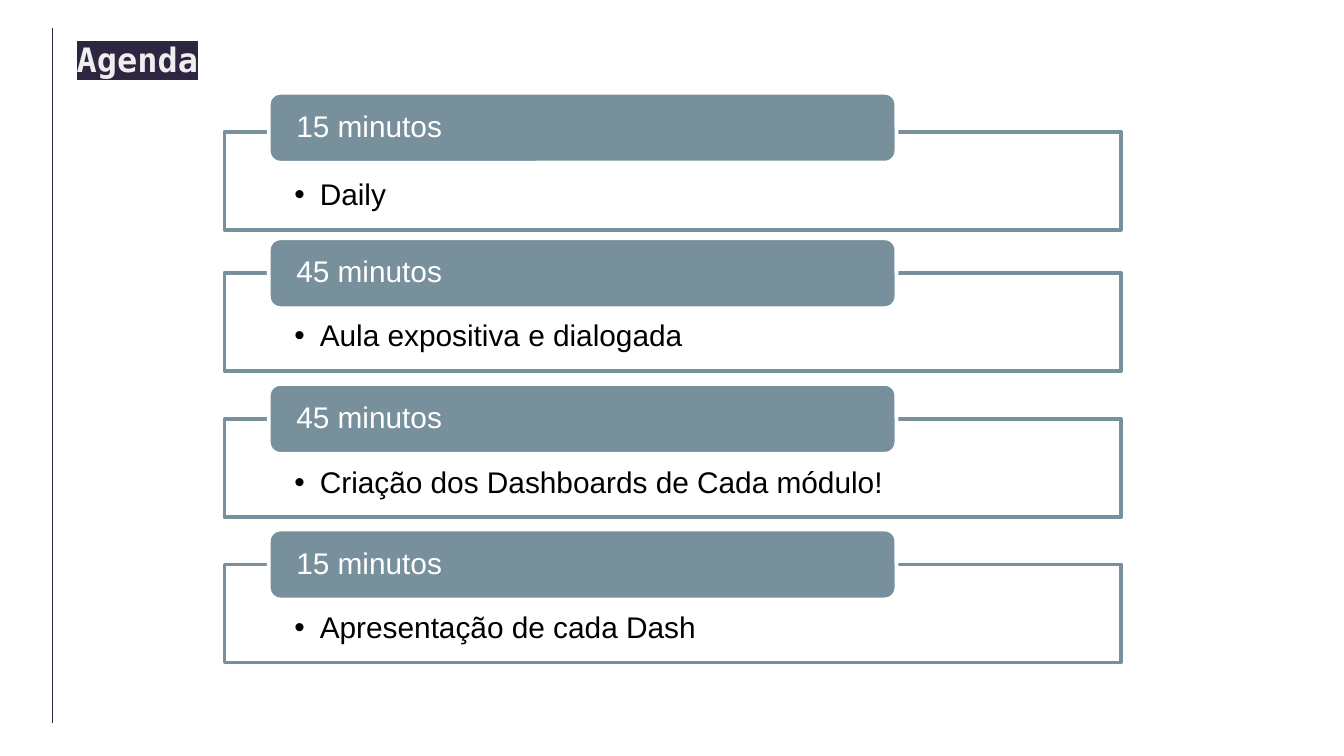
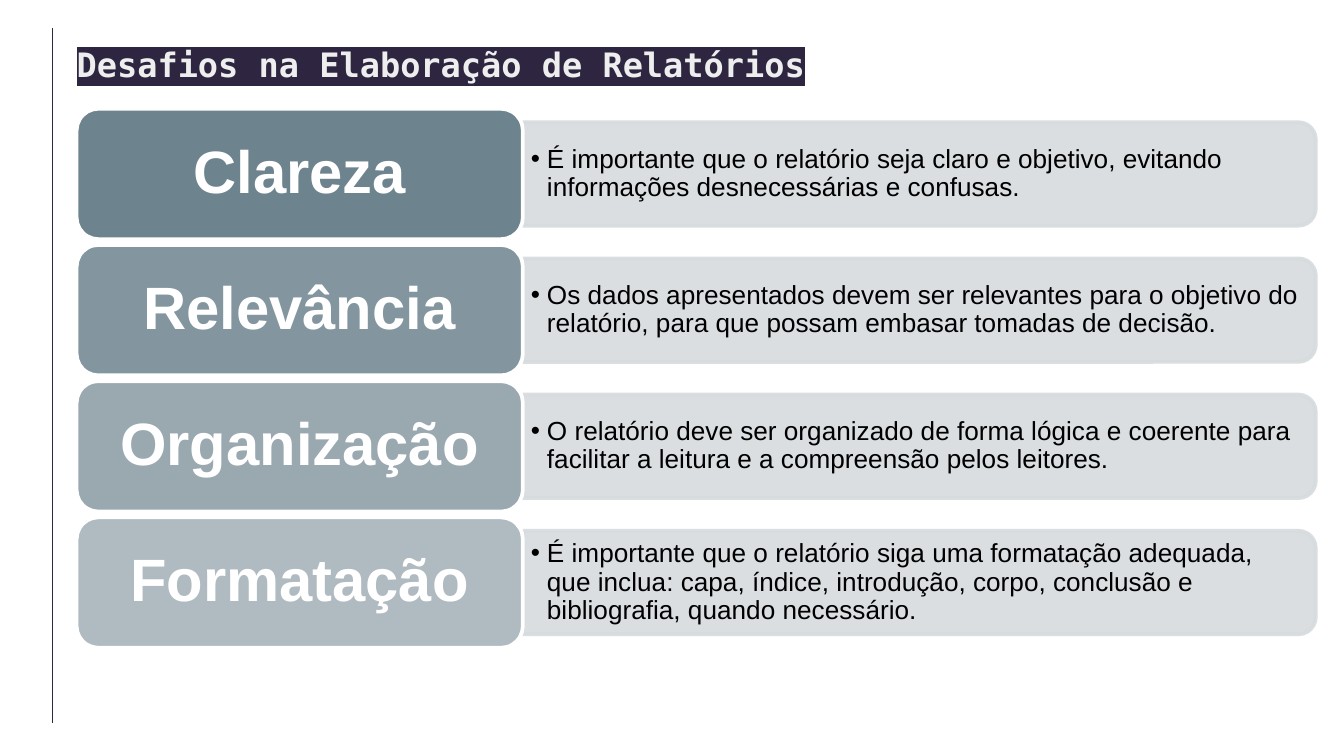
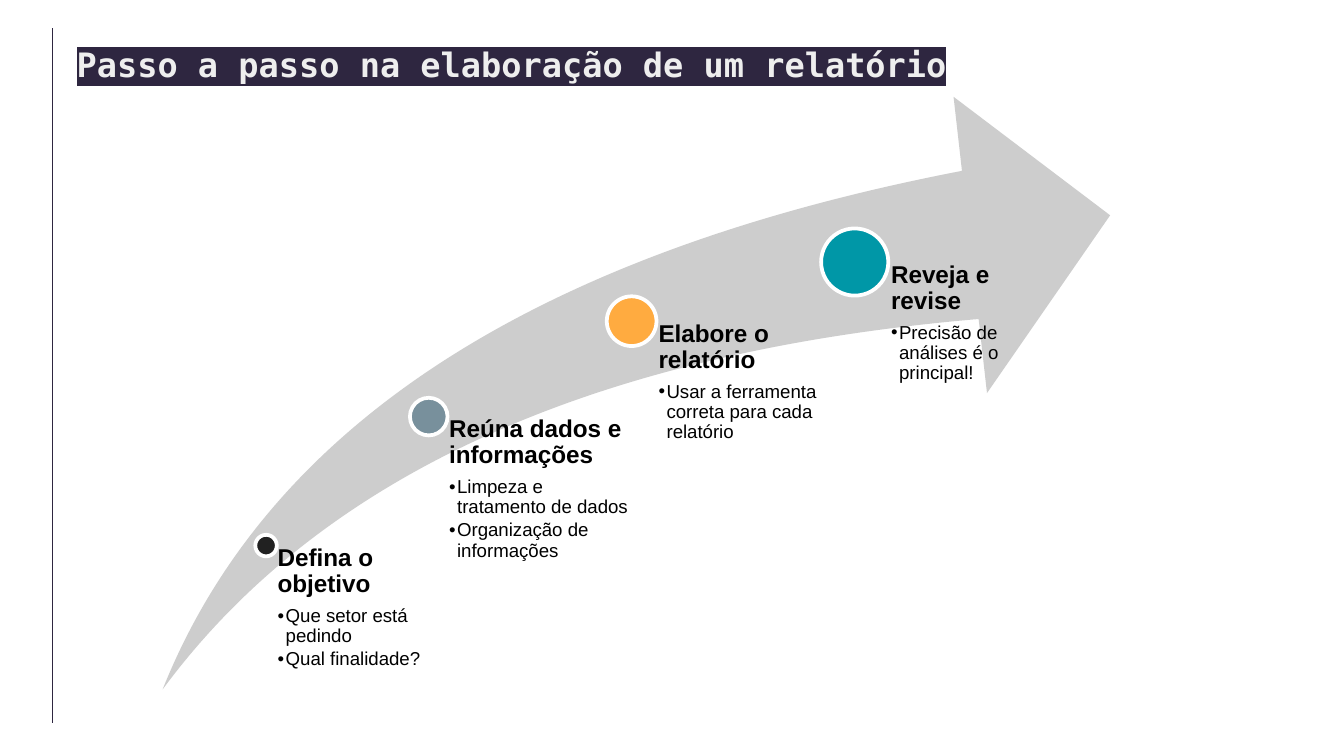
from dataclasses import dataclass

from lxml.etree import SubElement
from pptx import Presentation
from pptx.dml.color import RGBColor
from pptx.enum.shapes import MSO_CONNECTOR, MSO_SHAPE
from pptx.enum.text import MSO_ANCHOR, MSO_AUTO_SIZE, PP_ALIGN
from pptx.oxml.ns import qn
from pptx.util import Inches, Pt

BODY_FONT = "Arial"
TITLE_FONT = "DejaVu Sans Mono"
DARK = "2E2640"
TITLE_TEXT = "EEEEEE"
SLATE = "78909C"
BAND = "D6DBDE"
ARROW = "CDCDCD"
WHITE = "FFFFFF"
BLACK = "000000"


@dataclass
class AgendaItem:
    duration: str
    activity: str
    box_top: float


@dataclass
class Challenge:
    name: str
    description: str
    color: str


@dataclass
class Step:
    heading: str
    bullets: list[str]
    color: str
    x: float
    y: float
    diameter: float
    text_width: float = 1.48


AGENDA = [
    AgendaItem("15 minutos", "Daily", 0.98),
    AgendaItem("45 minutos", "Aula expositiva e dialogada", 2.03),
    AgendaItem("45 minutos", "Criação dos Dashboards de Cada módulo!", 3.12),
    AgendaItem("15 minutos", "Apresentação de cada Dash", 4.2),
]

CHALLENGES = [
    Challenge("Clareza", "É importante que o relatório seja claro e objetivo, "
              "evitando informações desnecessárias e confusas.", "6D838E"),
    Challenge("Relevância", "Os dados apresentados devem ser relevantes para o objetivo "
              "do relatório, para que possam embasar tomadas de decisão.", "83969F"),
    Challenge("Organização", "O relatório deve ser organizado de forma lógica e coerente "
              "para facilitar a leitura e a compreensão pelos leitores.", "9AA8B0"),
    Challenge("Formatação", "É importante que o relatório siga uma formatação adequada, "
              "que inclua: capa, índice, introdução, corpo, conclusão e bibliografia, "
              "quando necessário.", "B0BBC1"),
]

STEPS = [
    Step("Defina o objetivo", ["Que setor está pedindo", "Qual finalidade?"],
         "212121", 1.98, 4.06, 0.16, 1.21),
    Step("Reúna dados e informações",
         ["Limpeza e tratamento de dados", "Organização de informações"],
         SLATE, 3.19, 3.1, 0.28),
    Step("Elabore o relatório", ["Usar a ferramenta correta para cada relatório"],
         "FFAB40", 4.7, 2.39, 0.37),
    Step("Reveja e revise", ["Precisão de análises é o principal!"],
         "0097A7", 6.36, 1.95, 0.5),
]


def rgb(color: str) -> RGBColor:
    return RGBColor.from_string(color)


def set_alpha(parent, percent: int) -> None:
    for clr in parent.iter(qn("a:srgbClr")):
        SubElement(clr, qn("a:alpha"), val=str(percent * 1000))


def row_top(first: float, last: float, index: int, count: int) -> float:
    return first + (last - first) * index / (count - 1)


def add_shape(s, kind, left: float, top: float, width: float, height: float,
              fill: str, line: str | None = WHITE):
    sp = s.shapes.add_shape(kind, Inches(left), Inches(top), Inches(width), Inches(height))
    sp.shadow.inherit = False
    sp.fill.solid()
    sp.fill.fore_color.rgb = rgb(fill)
    if line:
        sp.line.color.rgb = rgb(line)
        sp.line.width = Pt(2)
    else:
        sp.line.fill.background()
    return sp


def add_textbox(s, left: float, top: float, width: float, height: float):
    return s.shapes.add_textbox(Inches(left), Inches(top), Inches(width), Inches(height))


def set_frame(sp, left: float, top: float, right: float, bottom: float,
              anchor: MSO_ANCHOR = MSO_ANCHOR.TOP):
    tf = sp.text_frame
    tf.word_wrap = True
    tf.vertical_anchor = anchor
    tf.margin_left, tf.margin_top = Inches(left), Inches(top)
    tf.margin_right, tf.margin_bottom = Inches(right), Inches(bottom)
    return tf


def add_run(p, text: str, size: float, color: str, bold: bool = False,
            font: str = BODY_FONT):
    r = p.add_run()
    r.text = text
    r.font.size = Pt(size)
    r.font.bold = bold
    r.font.color.rgb = rgb(color)
    r.font.name = font
    return r


def write(p, text: str, size: float, color: str, bold: bool = False,
          align: PP_ALIGN = PP_ALIGN.LEFT, bullet_indent: float = 0) -> None:
    p.alignment = align
    p.line_spacing = 0.9
    pPr = p._p.get_or_add_pPr()
    after = SubElement(pPr, qn("a:spcAft"))
    SubElement(after, qn("a:spcPct"), val="15000" if bullet_indent else "35000")
    if bullet_indent:
        p.level = 1
        pPr.set("marL", str(Inches(bullet_indent)))
        pPr.set("indent", str(-Inches(bullet_indent)))
        SubElement(SubElement(pPr, qn("a:buClr")), qn("a:srgbClr"), val=BLACK)
        SubElement(pPr, qn("a:buFont"), typeface=BODY_FONT)
        SubElement(pPr, qn("a:buChar"), char="•")
    add_run(p, text, size, color, bold)


def add_titled_slide(prs, title: str, top: float = 0.28):
    s = prs.slides.add_slide(prs.slide_layouts[6])
    tf = set_frame(add_textbox(s, 0.57, top, 6.62, 0.4), 0, 0.05, 0.05, 0.05)
    tf.auto_size = MSO_AUTO_SIZE.SHAPE_TO_FIT_TEXT
    r = add_run(tf.paragraphs[0], title, 18, TITLE_TEXT, True, TITLE_FONT)
    rPr = r._r.get_or_add_rPr()
    highlight = SubElement(rPr, qn("a:highlight"))
    SubElement(highlight, qn("a:srgbClr"), val=DARK)
    rPr.find(qn("a:solidFill")).addnext(highlight)

    rule = s.shapes.add_connector(MSO_CONNECTOR.STRAIGHT, Inches(0.39), Inches(0.21),
                                  Inches(0.39), Inches(5.38))
    rule.line.color.rgb = rgb(DARK)
    rule.line.width = Pt(0.75)
    SubElement(rule._element.spPr, qn("a:effectLst"))
    return s


def build_agenda(prs) -> None:
    s = add_titled_slide(prs, "Agenda", 0.24)
    for i, item in enumerate(AGENDA):
        box = add_shape(s, MSO_SHAPE.RECTANGLE, 1.67, item.box_top, 6.67, 0.73, WHITE, SLATE)
        set_alpha(box._element.spPr.find(qn("a:solidFill")), 90)
        tf = set_frame(box, 0.52, 0.36, 0.52, 0.12)
        write(tf.paragraphs[0], item.activity, 16, BLACK, bullet_indent=0.19)

        header = add_shape(s, MSO_SHAPE.ROUNDED_RECTANGLE, 2,
                           row_top(0.69, 3.94, i, len(AGENDA)), 4.67, 0.52, SLATE)
        tf = set_frame(header, 0.18, 0, 0.18, 0, MSO_ANCHOR.MIDDLE)
        write(tf.paragraphs[0], item.duration, 16, WHITE)


def build_challenges(prs) -> None:
    s = add_titled_slide(prs, "Desafios na Elaboração de Relatórios")
    label_left, label_width, label_height = 0.57, 3.32, 0.97
    band_left, band_length, band_height = label_left + label_width, 5.9, 0.77
    for i, item in enumerate(CHALLENGES):
        top = row_top(0.81, 3.85, i, len(CHALLENGES))
        middle = top + label_height / 2
        band = add_shape(s, MSO_SHAPE.ROUND_2_SAME_RECTANGLE,
                         band_left + (band_length - band_height) / 2,
                         middle - band_length / 2, band_height, band_length, BAND, BAND)
        band.rotation = 90
        set_alpha(band._element.spPr, 90)

        description = add_textbox(s, band_left, middle - 0.35, 5.86, 0.7)
        tf = set_frame(description, 0.06, 0.03, 0.06, 0.03, MSO_ANCHOR.MIDDLE)
        write(tf.paragraphs[0], item.description, 14, BLACK, bullet_indent=0.12)

        label = add_shape(s, MSO_SHAPE.ROUNDED_RECTANGLE, label_left, top,
                          label_width, label_height, item.color)
        tf = set_frame(label, 0.13, 0.07, 0.13, 0.07, MSO_ANCHOR.MIDDLE)
        write(tf.paragraphs[0], item.name, 32, WHITE, True, PP_ALIGN.CENTER)


def build_steps(prs) -> None:
    s = add_titled_slide(prs, "Passo a passo na elaboração de um relatório")
    arrow = add_shape(s, MSO_SHAPE.SWOOSH_ARROW, 1.21, 0.72, 7.05, 4.41, ARROW, None)
    arrow.adjustments[0] = 0.25
    arrow.adjustments[1] = 0.25
    text_bottom = 5.11
    for step in STEPS:
        d = step.diameter
        add_shape(s, MSO_SHAPE.OVAL, step.x - d / 2, step.y - d / 2, d, d, step.color)
        caption = add_textbox(s, step.x, step.y, step.text_width, text_bottom - step.y)
        tf = set_frame(caption, 0.54 * d, 0, 0, 0)
        write(tf.paragraphs[0], step.heading, 13, BLACK, True)
        for bullet in step.bullets:
            write(tf.add_paragraph(), bullet, 10, BLACK, bullet_indent=0.06)


def main() -> None:
    prs = Presentation()
    prs.slide_width = Inches(10)
    prs.slide_height = prs.slide_width * 9 // 16
    build_agenda(prs)
    build_challenges(prs)
    build_steps(prs)
    prs.save("out.pptx")


if __name__ == "__main__":
    main()
